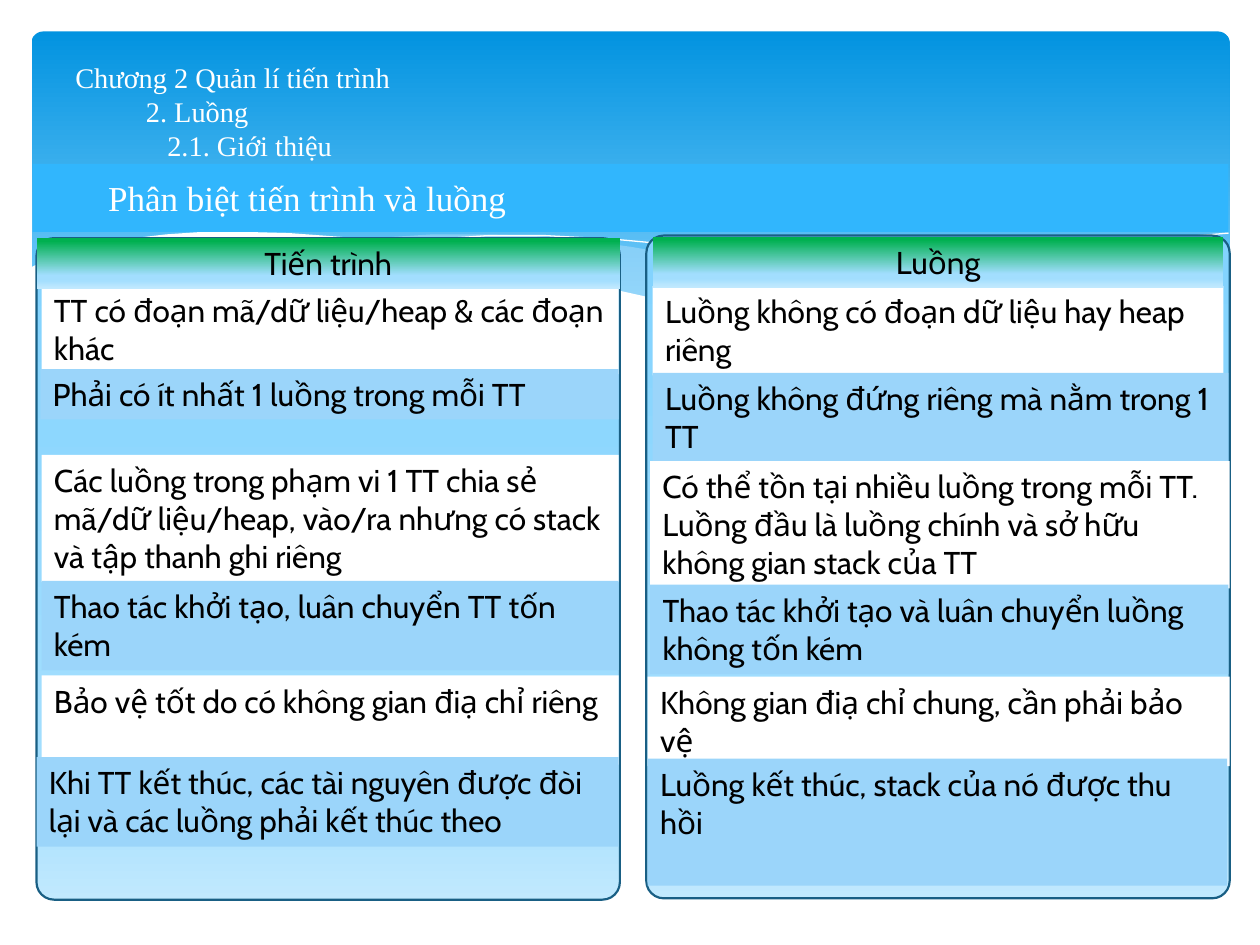
from copy import deepcopy
from itertools import cycle

from lxml.etree import SubElement
from pptx import Presentation
from pptx.dml.color import RGBColor
from pptx.enum.shapes import MSO_SHAPE
from pptx.enum.text import MSO_ANCHOR, MSO_AUTO_SIZE, PP_ALIGN
from pptx.oxml.ns import qn
from pptx.util import Inches, Pt

WHITE, BLACK, SKY, BAR, EDGE, MIST = "FFFFFF", "000000", "9BD5FA", "31B6FD", "195F84", "C6E7FC"
HEADER_STOPS = [(0, "0293E0"), (90, "83D3FE")]
PANEL_STOPS = [(6, "83D3FE"), (74, "A2DEFE"), (83, "A2DEFE"), (100, "C1E9FE")]
LABEL_STOPS = [(6, "00B050")] + PANEL_STOPS[1:]
SERIF, SANS = "Times New Roman", "Cabin"

RIGHT_SWELL = [
    (9.75, 2), (9.48, 2.04), (9.21, 2.1), (8.91, 2.16), (8.61, 2.23), (8.05, 2.37),
    (7.53, 2.48), (7.06, 2.57), (6.61, 2.65), (6.91, 2.69), (7.32, 2.74), (7.69, 2.77),
    (8.14, 2.78), (8.54, 2.76), (8.89, 2.72), (9.21, 2.65), (9.49, 2.57), (9.76, 2.47), (9.76, 2),
]
LONG_SWELL = [
    (8.93, 2.73), (8.37, 2.65), (7.75, 2.54), (7.06, 2.4), (6.29, 2.22), (5.84, 2.11),
    (5.41, 2.03), (5.01, 1.96), (4.64, 1.91), (4.2, 1.87), (3.8, 1.86), (3.44, 1.86),
    (3.13, 1.88), (2.86, 1.91), (3.42, 1.99), (4.04, 2.11), (4.49, 2.22), (5.3, 2.4),
    (6.01, 2.55), (6.65, 2.66), (7.22, 2.74), (7.73, 2.78), (8.18, 2.79), (8.57, 2.77),
]
LONG_STROKE = [
    (3.09, 1.95), (3.43, 1.9), (3.87, 1.87), (4.33, 1.87), (4.89, 1.9), (5.32, 1.94),
    (5.82, 2), (6.36, 2.08), (6.95, 2.19), (7.6, 2.33), (8.31, 2.51), (9.07, 2.72),
]
RIGHT_STROKE = [
    (6.13, 2.57), (6.52, 2.46), (6.95, 2.35), (7.48, 2.23), (8.06, 2.1), (8.66, 1.99),
    (9.1, 1.92), (9.51, 1.87), (9.75, 1.85),
]
WHITE_WAVE = [
    (9.77, 2.46), (9.5, 2.56), (9.2, 2.65), (8.87, 2.71), (8.5, 2.75), (8.09, 2.77),
    (7.61, 2.75), (7.08, 2.7), (6.47, 2.62), (5.79, 2.5), (5.29, 2.39), (4.75, 2.27),
    (4.18, 2.13), (3.65, 2.02), (3.15, 1.94), (2.71, 1.88), (2.3, 1.85), (1.93, 1.84),
    (1.61, 1.84), (1.32, 1.86), (1.06, 1.89), (0.85, 1.93), (0.67, 1.97), (0.46, 2.03),
    (0.29, 2.1), (0.23, 2.13), (0.23, 3.29), (9.77, 3.29),
]

TITLE_LINES = [("Chương 2 Quản lí tiến trình", 0), ("2. Luồng", 0.56), ("2.1. Giới thiệu", 0.73)]
PROCESS_ROWS = [
    (0.33, 2.26, 4.58, 0.71, "TT có đoạn mã/dữ liệu/heap & các đoạn khác"),
    (0.32, 2.93, 4.59, 0.4, "Phải có ít nhất 1 luồng trong mỗi TT"),
    (0.33, 3.61, 4.58, 1.01, "Các luồng trong phạm vi 1 TT chia sẻ mã/dữ liệu/heap, "
     "vào/ra nhưng có stack và tập thanh ghi riêng"),
    (0.33, 4.61, 4.58, 0.71, "Thao tác khởi tạo, luân chuyển TT tốn kém"),
    (0.33, 5.36, 4.58, 0.71, "Bảo vệ tốt do có không gian điạ chỉ riêng"),
    (0.29, 6.01, 4.62, 0.71, "Khi TT kết thúc, các tài nguyên được đòi lại và các luồng "
     "phải kết thúc theo"),
]
THREAD_ROWS = [
    (5.18, 2.27, 4.53, 0.71, "Luồng không có đoạn dữ liệu hay heap riêng"),
    (5.18, 2.96, 4.57, 0.71, "Luồng không đứng riêng mà nằm trong 1 TT"),
    (5.16, 3.66, 4.6, 1.01, "Có thể tồn tại nhiều luồng trong mỗi TT. Luồng đầu là luồng "
     "chính và sở hữu không gian stack của TT"),
    (5.16, 4.64, 4.59, 0.71, "Thao tác khởi tạo và luân chuyển luồng không tốn kém"),
    (5.14, 5.37, 4.62, 0.71, "Không gian điạ chỉ chung, cần phải bảo vệ"),
    (5.14, 6.02, 4.6, 1.01, "Luồng kết thúc, stack của nó được thu hồi"),
]


def color(value):
    """Turn a hex string into a colour."""
    return RGBColor.from_string(value)


class Painter:
    """Draws styled elements on the current page."""

    def __init__(self, page):
        """Keep the page to draw on."""
        self.page = page

    def paint(self, shape, fill=None, line=None, width=0):
        """Set a solid, gradient or empty fill, and the outline."""
        shape.shadow.inherit = False
        if fill is None:
            shape.fill.background()
        elif isinstance(fill, str):
            shape.fill.solid()
            shape.fill.fore_color.rgb = color(fill)
        else:
            shape.fill.gradient()
            shape.fill.gradient_angle = 270
            stop_list = shape._element.spPr.find(".//" + qn("a:gsLst"))
            for _ in fill[2:]:
                stop_list.append(deepcopy(stop_list[-1]))
            for stop, (position, value) in zip(shape.fill.gradient_stops, fill):
                stop.position = position / 100
                stop.color.rgb = color(value)
        if line:
            shape.line.color.rgb = color(line)
            shape.line.width = Pt(width)
        else:
            shape.line.fill.background()

    def block(self, box, fill, kind=MSO_SHAPE.RECTANGLE, radius=None, line=None):
        """Add a preset shape."""
        shape = self.page.shapes.add_shape(kind, *map(Inches, box))
        if radius:
            shape.adjustments[0] = radius
        self.paint(shape, fill, line, 1.25)
        return shape

    def panel(self, box, fill, radius, line=None):
        """Add a rounded panel."""
        return self.block(box, fill, MSO_SHAPE.ROUNDED_RECTANGLE, radius, line)

    def wave(self, points, fill=None, opacity=None, line=None):
        """Add a wave, closed when it has a fill."""
        start, *rest = [(Inches(x), Inches(y)) for x, y in points]
        builder = self.page.shapes.build_freeform(*start)
        builder.add_line_segments(rest, close=fill is not None)
        shape = builder.convert_to_shape()
        self.paint(shape, fill, line)
        if opacity:
            tint = shape._element.spPr.find(qn("a:solidFill"))[0]
            SubElement(tint, qn("a:alpha")).set("val", str(opacity * 1000))

    def style_text(self, para, text, size, font, value, indent=0, align=PP_ALIGN.LEFT):
        """Fill one paragraph with styled text."""
        para.text = text
        para.alignment = align
        para._p.get_or_add_pPr().set("marL", str(Inches(indent)))
        para.font.size = Pt(size)
        para.font.name = font
        para.font.color.rgb = color(value)

    def title(self, box, lines):
        """Add the stepped chapter heading."""
        frame = self.page.shapes.add_textbox(*map(Inches, box)).text_frame
        frame.word_wrap = True
        frame.vertical_anchor = MSO_ANCHOR.MIDDLE
        frame.margin_bottom = Inches(0.32)
        for number, (text, indent) in enumerate(lines):
            para = frame.add_paragraph() if number else frame.paragraphs[0]
            self.style_text(para, text, 16.2, SERIF, WHITE, indent)
            para.line_spacing = Pt(19.4)

    def bar(self, box, text):
        """Add the subtitle bar."""
        frame = self.block(box, BAR).text_frame
        frame.word_wrap = True
        frame.vertical_anchor = MSO_ANCHOR.MIDDLE
        self.style_text(frame.paragraphs[0], text, 20, SERIF, WHITE, 0.5)

    def cell(self, box, text, fill, align=PP_ALIGN.LEFT):
        """Add one comparison cell."""
        frame = self.block(box, fill).text_frame
        frame.word_wrap = True
        frame.auto_size = MSO_AUTO_SIZE.SHAPE_TO_FIT_TEXT
        frame.vertical_anchor = MSO_ANCHOR.TOP
        self.style_text(frame.paragraphs[0], text, 18, SANS, BLACK, align=align)


def main():
    """Build the comparison slide."""
    deck = Presentation()
    deck.slide_width, deck.slide_height = Inches(10), Inches(7.5)
    painter = Painter(deck.slides.add_slide(deck.slide_layouts[6]))

    painter.panel((0.25, 0.25, 9.51, 2.7), HEADER_STOPS, 0.034)
    painter.wave(RIGHT_SWELL, MIST, 29)
    painter.wave(LONG_SWELL, MIST, 40)
    painter.wave(LONG_STROKE, line=WHITE)
    painter.wave(RIGHT_STROKE, line=WHITE)
    painter.wave(WHITE_WAVE, WHITE)

    for box in [(5.13, 1.87, 4.63, 5.26), (0.29, 1.89, 4.63, 5.25)]:
        painter.panel(box, PANEL_STOPS, 0.03, EDGE)
    painter.title((0.5, 0.37, 9, 1.3), TITLE_LINES)
    painter.bar((0.26, 1.3, 9.49, 0.54), "Phân biệt tiến trình và luồng")

    for rows in (PROCESS_ROWS, THREAD_ROWS):
        for (*box, text), fill in zip(rows, cycle((WHITE, SKY))):
            painter.cell(box, text, fill)
    painter.cell((5.18, 1.88, 4.53, 0.4), "Luồng", LABEL_STOPS, PP_ALIGN.CENTER)
    painter.cell((0.29, 1.89, 4.63, 0.4), "Tiến trình", LABEL_STOPS, PP_ALIGN.CENTER)
    deck.save("out.pptx")


if __name__ == "__main__":
    main()
